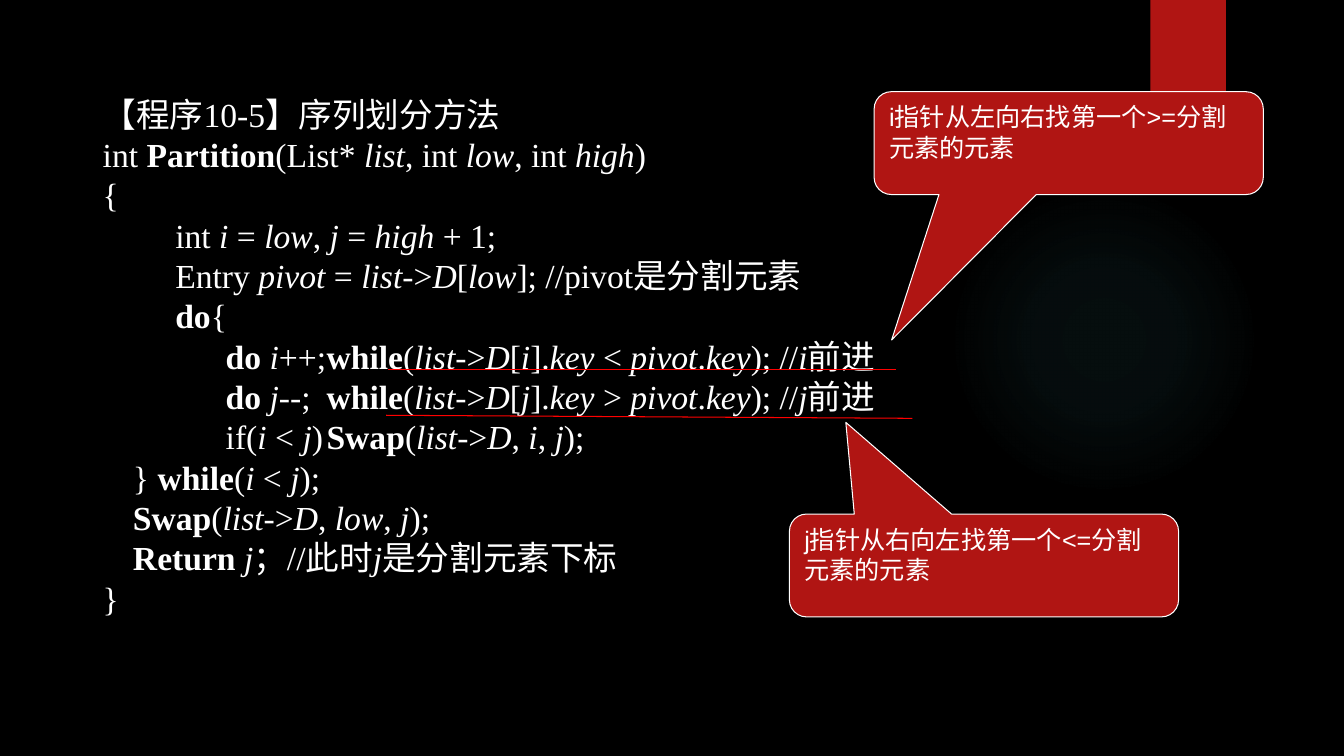
import lxml.etree
import pptx
import pptx.dml.color
import pptx.enum.shapes
import pptx.enum.text
import pptx.oxml
import pptx.oxml.ns
import pptx.util

Inches = pptx.util.Inches
Pt = pptx.util.Pt
SHAPES = pptx.enum.shapes.MSO_SHAPE
qn = pptx.oxml.ns.qn

COLORS = {"night": "000000", "glow": "50B9C1", "crimson": "B01513",
          "underline": "FF0000", "white": "FFFFFF"}

# = bold, _ = italic
CODE = [
    (0.28, "【程序10-5】序列划分方法"),
    (0.28, "int #Partition#(List* _list_, int _low_, int _high_)"),
    (0.28, "{"),
    (0.28, "\t\tint _i_ = _low_, _j_ = _high_ + 1;"),
    (0.28, "\t\tEntry _pivot_ = _list_->_D_[_low_]; //pivot是分割元素"),
    (0.28, "\t\t#do#{"),
    (0.28, "\t\t\t#do #_i_++;\t#while#(_list_->_D_[_i_]._key_ < _pivot_._key_); //_i_前进"),
    (0.28, "\t\t\t#do #_j_--;\t#while#(_list_->_D_[_j_]._key_ > _pivot_._key_); //_j_前进"),
    (0.28, "\t\t\tif(_i_ < _j_)\t#Swap#(_list_->_D_, _i_, _j_);"),
    (0.58, "} #while#(_i_ < _j_);"),
    (0.58, "#Swap#(_list_->_D_, _low_,_ j_);"),
    (0.58, "#Return #_j_；//此时_j_是分割元素下标"),
    (0.28, "}"),
]


def rgb(name):
    return pptx.dml.color.RGBColor.from_string(COLORS[name])


def write(paragraph, text, font="Arial", size=18, color="white"):
    for b, bold_part in enumerate(text.split("#")):
        for i, part in enumerate(bold_part.split("_")):
            if part:
                run = paragraph.add_run()
                run.text = part
                run.font.name = font
                run.font.size = Pt(size)
                run.font.color.rgb = rgb(color)
                run.font.bold = b % 2 == 1
                run.font.italic = i % 2 == 1


class Deck:
    def __init__(self):
        self.presentation = pptx.Presentation()
        self.presentation.slide_width = Inches(13.33)
        self.presentation.slide_height = Inches(7.5)
        self.slide = self.presentation.slides.add_slide(
            self.presentation.slide_layouts[6])
        background = self.slide.background.fill
        background.solid()
        background.fore_color.rgb = rgb("night")

    def shape(self, kind, box, fill):
        item = self.slide.shapes.add_shape(kind, *map(Inches, box))
        item.shadow.inherit = False
        item.fill.solid()
        item.fill.fore_color.rgb = rgb(fill)
        item.line.fill.background()
        return item

    def glow(self, box, stops):
        halo = self.shape(SHAPES.OVAL, box, "glow")
        colors = "".join(
            f'<a:gs pos="{place * 1000}"><a:srgbClr val="{COLORS["glow"]}">'
            f'<a:alpha val="{alpha * 1000}"/></a:srgbClr></a:gs>'
            for place, alpha in stops)
        gradient = pptx.oxml.parse_xml(
            f'<a:gradFill {pptx.oxml.ns.nsdecls("a")}><a:gsLst>{colors}</a:gsLst>'
            '<a:path path="circle"><a:fillToRect l="50000" t="50000" r="50000" '
            'b="50000"/></a:path></a:gradFill>')
        properties = halo._element.spPr
        properties.replace(properties.find(qn("a:solidFill")), gradient)

    def code(self, box, lines):
        frame = self.slide.shapes.add_textbox(*map(Inches, box)).text_frame
        frame.word_wrap = True
        frame.auto_size = pptx.enum.text.MSO_AUTO_SIZE.SHAPE_TO_FIT_TEXT
        for number, (indent, text) in enumerate(lines):
            paragraph = frame.add_paragraph() if number else frame.paragraphs[0]
            paragraph.alignment = pptx.enum.text.PP_ALIGN.JUSTIFY
            paragraph.line_spacing = Pt(28.8)
            margin = 0.29 if indent > 0.5 else 0
            settings = paragraph._p.get_or_add_pPr()
            settings.set("marL", str(Inches(margin)))
            settings.set("indent", str(Inches(indent - margin)))
            write(paragraph, text, font="Times New Roman", size=24)
        paragraph.space_after = Pt(6)

    def underline(self, start, end):
        rule = self.slide.shapes.add_connector(
            pptx.enum.shapes.MSO_CONNECTOR.STRAIGHT, *map(Inches, start + end))
        rule.line.color.rgb = rgb("underline")
        rule.line.width = Pt(0.75)
        lxml.etree.SubElement(rule._element.spPr, qn("a:effectLst"))

    def callout(self, left, top, pointer, text):
        bubble = self.shape(SHAPES.ROUNDED_RECTANGULAR_CALLOUT,
                            (left, top, 3.86, 1.02), "crimson")
        for number, value in enumerate(pointer):
            bubble.adjustments[number] = value
        bubble.line.color.rgb = rgb("white")
        bubble.line.width = Pt(0.75)
        frame = bubble.text_frame
        frame.word_wrap = True
        frame.vertical_anchor = pptx.enum.text.MSO_ANCHOR.TOP
        frame.paragraphs[0].alignment = pptx.enum.text.PP_ALIGN.LEFT
        write(frame.paragraphs[0], text)


def main():
    deck = Deck()
    deck.glow((9.41, 1.83, 3.08, 3.08), [(0, 7), (36, 6), (69, 0)])
    deck.shape(SHAPES.RECTANGLE, (11.41, 0, 0.75, 1.25), "crimson")
    deck.code((0.64, 0.88, 9.88, 5.35), CODE)
    deck.underline((3.85, 3.67), (8.89, 3.67))
    deck.callout(8.67, 0.91, (-0.455, 1.914, 0.167),
                 "i指针从左向右找第一个>=分割元素的元素")
    deck.underline((3.83, 4.12), (9.05, 4.15))
    deck.callout(7.83, 5.1, (-0.355, -1.392, 0.167),
                 "j指针从右向左找第一个<=分割元素的元素")
    deck.presentation.save("out.pptx")


if __name__ == "__main__":
    main()
